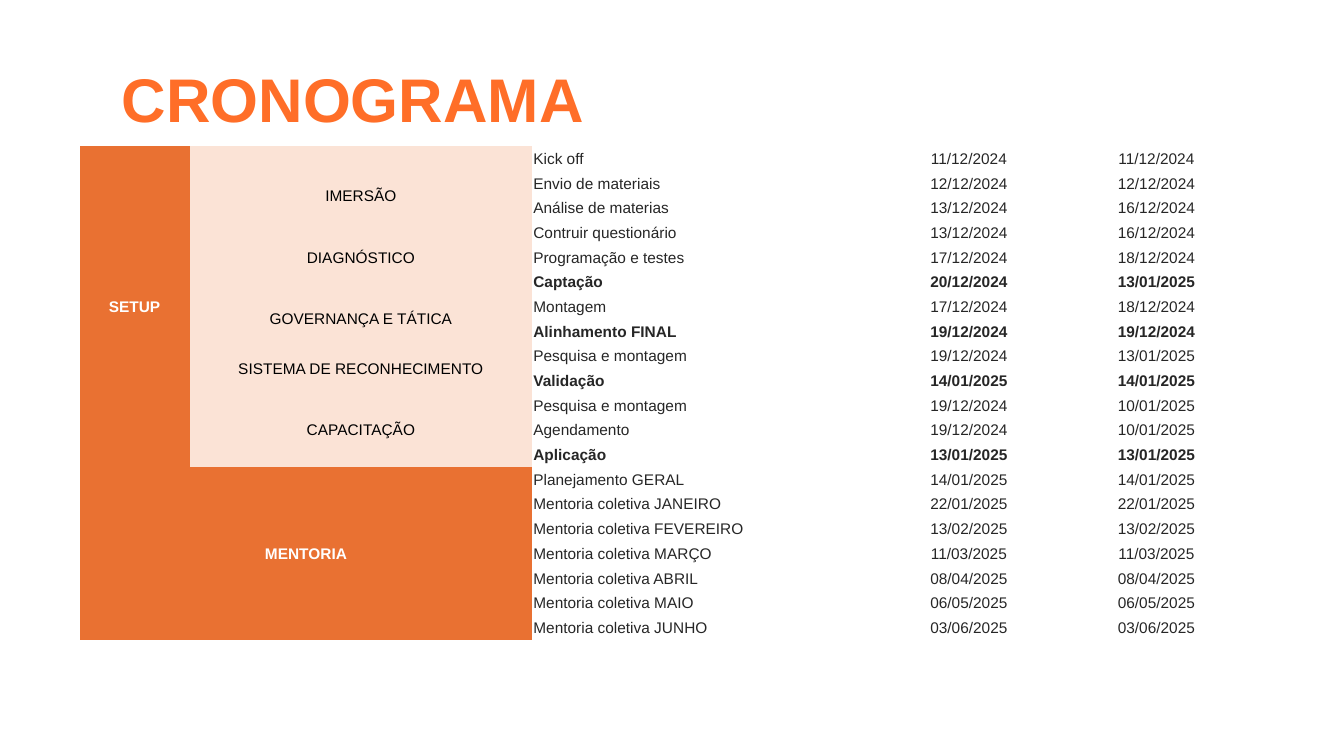
from lxml import etree
from pptx import Presentation, util as u
from pptx.dml.color import RGBColor
from pptx.enum import text as t
from pptx.oxml.ns import qn

# Content
TITLE = "CRONOGRAMA"
STEPS = [  # step, start, end
    ("Kick off", "11/12/2024", "11/12/2024"),
    ("Envio de materiais", "12/12/2024", "12/12/2024"),
    ("Análise de materias", "13/12/2024", "16/12/2024"),
    ("Contruir questionário", "13/12/2024", "16/12/2024"),
    ("Programação e testes", "17/12/2024", "18/12/2024"),
    ("Captação", "20/12/2024", "13/01/2025"),
    ("Montagem", "17/12/2024", "18/12/2024"),
    ("Alinhamento FINAL", "19/12/2024", "19/12/2024"),
    ("Pesquisa e montagem", "19/12/2024", "13/01/2025"),
    ("Validação", "14/01/2025", "14/01/2025"),
    ("Pesquisa e montagem", "19/12/2024", "10/01/2025"),
    ("Agendamento", "19/12/2024", "10/01/2025"),
    ("Aplicação", "13/01/2025", "13/01/2025"),
    ("Planejamento GERAL", "14/01/2025", "14/01/2025"),
    ("Mentoria coletiva JANEIRO", "22/01/2025", "22/01/2025"),
    ("Mentoria coletiva FEVEREIRO", "13/02/2025", "13/02/2025"),
    ("Mentoria coletiva MARÇO", "11/03/2025", "11/03/2025"),
    ("Mentoria coletiva ABRIL", "08/04/2025", "08/04/2025"),
    ("Mentoria coletiva MAIO", "06/05/2025", "06/05/2025"),
    ("Mentoria coletiva JUNHO", "03/06/2025", "03/06/2025"),
]
KEY = {"Captação", "Alinhamento FINAL", "Validação", "Aplicação"}
PHASES = [  # label, row, column, rows, columns
    ("SETUP", 0, 0, 13, 1),
    ("MENTORIA", 13, 0, 7, 2),
]
AREAS = [  # label, rows
    ("", 1),
    ("IMERSÃO", 2),
    ("DIAGNÓSTICO", 3),
    ("GOVERNANÇA E TÁTICA", 2),
    ("SISTEMA DE RECONHECIMENTO", 2),
    ("CAPACITAÇÃO", 3),
]

# Theme
THEME = dict(font="Arial", head=44, body=11, title="FF6E28", phase="E97132",
             area="FBE3D6", white="FFFFFF", black="000000", ink="262626")
PLAIN = "{2D5ABB26-0587-4C30-8999-92F81FD0307C}"  # no style, no grid

# Grid, in inches
LEFT, TOP, HIGH = 0.79, 1.45, 4.9
COLS = (1.09, 3.4, 3.4, 1.86, 1.86)
ROW = HIGH / len(STEPS)


def rgb(name):
    return RGBColor.from_string(THEME[name])


def write(frame, words, size, color, bold=False, align=t.PP_ALIGN.CENTER):
    frame.text = words
    para = frame.paragraphs[0]
    para.alignment = align
    for run in para.runs:
        font = run.font
        font.name, font.size, font.bold = THEME["font"], u.Pt(THEME[size]), bold
        font.color.rgb = rgb(color)
    return para


def block(table, words, row, col, rows, cols, fill, color, bold):
    cell = table.cell(row, col)
    if rows * cols > 1:
        cell.merge(table.cell(row + rows - 1, col + cols - 1))
    cell.fill.solid()
    cell.fill.fore_color.rgb = rgb(fill)
    write(cell.text_frame, words, "body", color, bold)


def main():
    prs = Presentation()
    prs.slide_width, prs.slide_height = u.Inches(13.33), u.Inches(7.5)
    slide = prs.slides.add_slide(prs.slide_layouts[6])

    # Title
    box = slide.shapes.add_textbox(u.Inches(LEFT), u.Inches(0.71),
                                   u.Inches(5.42), u.Inches(0.61))
    frame = box.text_frame
    frame.word_wrap = True
    frame.vertical_anchor = t.MSO_ANCHOR.MIDDLE
    frame.margin_left = frame.margin_right = 0
    frame.margin_top = frame.margin_bottom = 0
    write(frame, TITLE, "head", "title", True).line_spacing = 0.9

    # Plain table
    grid = slide.shapes.add_table(len(STEPS), len(COLS), u.Inches(LEFT),
                                  u.Inches(TOP), u.Inches(sum(COLS)),
                                  u.Inches(HIGH))
    table = grid.table
    table.first_row = table.horz_banding = False
    for style in grid._element.iter(qn("a:tableStyleId")):
        style.text = PLAIN
    for col, wide in zip(table.columns, COLS):
        col.width = u.Inches(wide)
    for row in table.rows:
        row.height = u.Inches(ROW)
    for cell in table.iter_cells():
        cell.fill.background()
        cell.vertical_anchor = t.MSO_ANCHOR.MIDDLE
        cell.margin_left = cell.margin_right = cell.margin_top = u.Inches(0.01)
        cell.margin_bottom = 0

    # Steps and dates
    for r, step in enumerate(STEPS):
        for c, words in enumerate(step, 2):
            align = t.PP_ALIGN.LEFT if c == 2 else t.PP_ALIGN.CENTER
            write(table.cell(r, c).text_frame, words, "body", "ink",
                  step[0] in KEY, align)

    # Phases and areas
    for phase in PHASES:
        block(table, *phase, "phase", "white", True)
    row = 0
    for words, rows in AREAS:
        block(table, words, row, 1, rows, 1, "area", "black", False)
        row += rows

    # Small type in empty cells keeps the rows low
    for cell in table.iter_cells():
        if not cell.text_frame.text:
            etree.SubElement(cell.text_frame.paragraphs[0]._p,
                             qn("a:endParaRPr"), sz=str(THEME["body"] * 100))

    prs.save("out.pptx")


if __name__ == "__main__":
    main()
